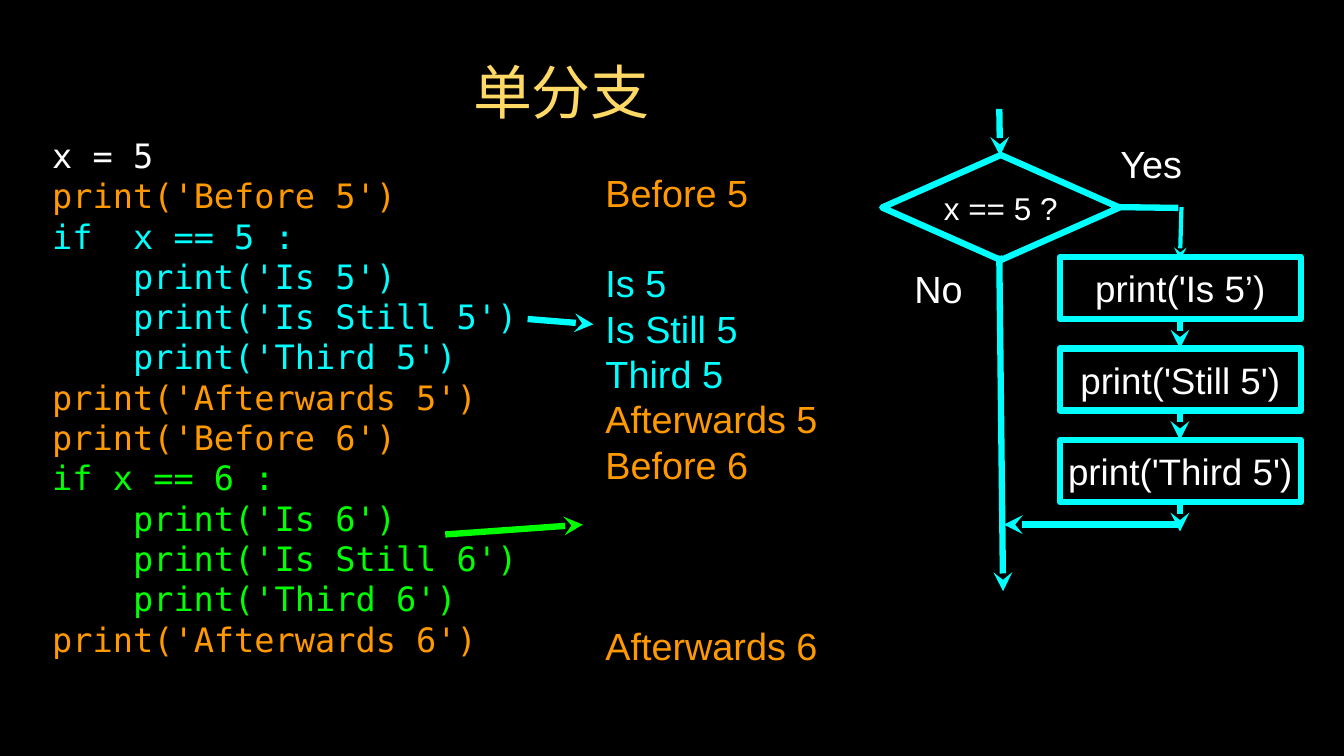
from lxml import etree
from pptx import Presentation
from pptx.dml.color import RGBColor
from pptx.enum.shapes import MSO_CONNECTOR, MSO_SHAPE
from pptx.enum.text import MSO_ANCHOR, PP_ALIGN
from pptx.oxml.ns import qn
from pptx.util import Inches, Pt

STRAIGHT = MSO_CONNECTOR.STRAIGHT
DIAMOND = MSO_SHAPE.DIAMOND
RECTANGLE = MSO_SHAPE.RECTANGLE
MIDDLE = MSO_ANCHOR.MIDDLE
LEFT = PP_ALIGN.LEFT
CENTER = PP_ALIGN.CENTER

BLACK, WHITE, GOLD = "000000", "FFFFFF", "FFD966"
ORANGE, CYAN, GREEN = "FF9900", "00FFFF", "00FF00"
SANS, MONO = "Arial", "DejaVu Sans Mono"
LINE_HEIGHT = 1.2
CODE_SIZE, OUTPUT_SIZE = 32, 36
CODE_INDENT = 1.07

# text, colour, indent level, empty lines before
CODE = [
    ("x = 5", WHITE, 0, 0),
    ("print('Before 5')", ORANGE, 0, 0),
    ("if  x == 5 :", CYAN, 0, 0),
    ("print('Is 5')", CYAN, 1, 0),
    ("print('Is Still 5')", CYAN, 1, 0),
    ("print('Third 5')", CYAN, 1, 0),
    ("print('Afterwards 5')", ORANGE, 0, 0),
    ("print('Before 6')", ORANGE, 0, 0),
    ("if x == 6 :", GREEN, 0, 0),
    ("print('Is 6')", GREEN, 1, 0),
    ("print('Is Still 6')", GREEN, 1, 0),
    ("print('Third 6')", GREEN, 1, 0),
    ("print('Afterwards 6')", ORANGE, 0, 0),
]
OUTPUT = [
    ("Before 5", ORANGE, 0, 0),
    ("Is 5", CYAN, 0, 1),
    ("Is Still 5", CYAN, 0, 0),
    ("Third 5", CYAN, 0, 0),
    ("Afterwards 5", ORANGE, 0, 0),
    ("Before 6", ORANGE, 0, 0),
    ("Afterwards 6", ORANGE, 0, 3),
]
LABELS = [
    ("单分支", GOLD, 56.1, (2.22, 0.62, 10.41, 1.17)),
    ("Yes", WHITE, 36, (14.62, 1.88, 1.22, 0.57)),
    ("No", WHITE, 36, (12.02, 3.53, 0.79, 0.57)),
]
STEPS = ["print('Is 5’)", "print('Still 5')", "print('Third 5')"]
STEP_LEFT, STEP_TOP, STEP_WIDTH, STEP_HEIGHT, STEP_PITCH = 14.02, 3.4, 3.19, 0.82, 1.21

# start, end, colour, width, arrowhead at end
LINES = [
    ((6.98, 4.22), (7.85, 4.29), CYAN, 6, True),
    ((5.89, 7.07), (7.71, 6.94), GREEN, 6, True),
    ((13.22, 1.44), (13.23, 2.06), CYAN, 6, True),
    ((13.22, 3.38), (13.27, 7.82), CYAN, 6, True),
    ((14.8, 2.74), (15.59, 2.75), CYAN, 6, False),
    ((15.63, 2.74), (15.61, 3.44), CYAN, 4, True),
    ((15.63, 6.94), (13.28, 6.94), CYAN, 6, True),
]


def rgb(color):
    return RGBColor.from_string(color)


def inches(values):
    return [Inches(value) for value in values]


def fill_text(shape, lines, size, font, alignment, wrap=True, spaced=False):
    frame = shape.text_frame
    frame_format = {
        "word_wrap": wrap, "vertical_anchor": MIDDLE,
        "margin_left": 0, "margin_right": 0, "margin_top": 0, "margin_bottom": 0,
    }
    for name, value in frame_format.items():
        setattr(frame, name, value)
    for index, (text, color, level, gap) in enumerate(lines):
        paragraph = frame.add_paragraph() if index else frame.paragraphs[0]
        paragraph.alignment = alignment
        if spaced:
            paragraph.line_spacing = Pt(size * LINE_HEIGHT)
            paragraph.space_before = Pt(gap * size * LINE_HEIGHT)
        if level:
            properties = paragraph._p.get_or_add_pPr()
            properties.set("marL", str(Inches(level * CODE_INDENT)))
            properties.set("indent", "0")
        run = paragraph.add_run()
        run.text = text
        for name, value in {"size": Pt(size), "name": font}.items():
            setattr(run.font, name, value)
        run.font.color.rgb = rgb(color)


def add_text(slide, box, lines, size, font, alignment, spaced=False):
    shape = slide.shapes.add_textbox(*inches(box))
    fill_text(shape, lines, size, font, alignment, spaced=spaced)


def add_node(slide, kind, box, text, size):
    shape = slide.shapes.add_shape(kind, *inches(box))
    shape.shadow.inherit = False
    shape.fill.background()
    shape.line.color.rgb = rgb(CYAN)
    shape.line.width = Pt(6)
    fill_text(shape, [(text, WHITE, 0, 0)], size, SANS, CENTER, wrap=False)


def add_line(slide, start, end, color, width, arrow):
    connector = slide.shapes.add_connector(STRAIGHT, *inches(start + end))
    connector.line.color.rgb = rgb(color)
    connector.line.width = Pt(width)
    if arrow:
        outline = connector.line._get_or_add_ln()
        etree.SubElement(outline, qn("a:tailEnd"), type="stealth")
    etree.SubElement(connector._element.spPr, qn("a:effectLst"))


def main():
    presentation = Presentation()
    presentation.slide_width = Inches(17.78)
    presentation.slide_height = Inches(10)
    slide = presentation.slides.add_slide(presentation.slide_layouts[6])
    slide.background.fill.solid()
    slide.background.fill.fore_color.rgb = rgb(BLACK)

    for text, color, size, box in LABELS:
        add_text(slide, box, [(text, color, 0, 0)], size, SANS, CENTER)
    add_text(slide, (0.69, 1.82, 6.25, 6.86), CODE, CODE_SIZE, MONO, LEFT, spaced=True)
    add_text(slide, (8.01, 2.34, 3.09, 6.4), OUTPUT, OUTPUT_SIZE, SANS, LEFT, spaced=True)

    for line in LINES:
        add_line(slide, *line)
    add_node(slide, DIAMOND, (11.67, 2.05, 3.14, 1.39), "x == 5 ?", 30)
    for index, text in enumerate(STEPS):
        top = STEP_TOP + index * STEP_PITCH
        add_node(slide, RECTANGLE, (STEP_LEFT, top, STEP_WIDTH, STEP_HEIGHT), text, 35)
        bottom = top + STEP_HEIGHT
        add_line(slide, (15.61, bottom), (15.61, bottom + 0.39), CYAN, 6, True)

    presentation.save("out.pptx")


if __name__ == "__main__":
    main()
